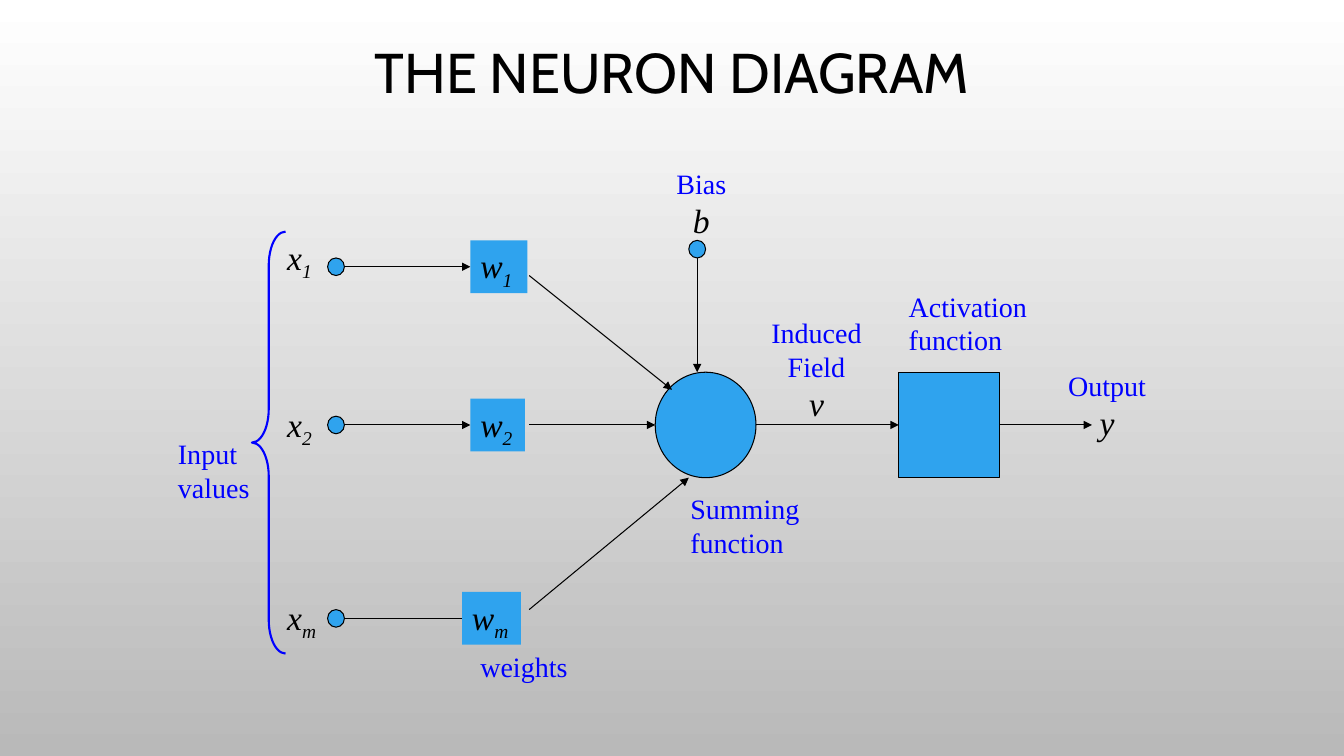
"""Build a slide showing the diagram of a single artificial neuron."""
from lxml.etree import SubElement
from pptx import Presentation
from pptx.dml.color import RGBColor
from pptx.enum.shapes import MSO_CONNECTOR, MSO_SHAPE
from pptx.enum.text import MSO_ANCHOR, PP_ALIGN
from pptx.oxml.ns import qn
from pptx.util import Inches, Pt

COLORS = {"ink": "000000", "label": "0000FF", "node": "2FA3EE",
          "top": "FFFFFF", "bottom": "B9B9B9"}

deck = Presentation()
deck.slide_width, deck.slide_height = Inches(13.33), Inches(7.5)
COLUMN, ROW = deck.slide_width / 160, deck.slide_height / 86
OFFSET = Inches(0.03)
page = deck.slides.add_slide(deck.slide_layouts[6])


def draw(kind, column, row, width, height, fill=None, line=None, weight=0.75):
    place = [int(length) for length in
             (column * COLUMN, row * ROW + OFFSET, width * COLUMN, height * ROW)]
    if kind is None:
        return page.shapes.add_textbox(*place)
    shape = page.shapes.add_shape(kind, *place)
    shape.shadow.inherit = False
    if fill:
        shape.fill.solid()
        shape.fill.fore_color.rgb = RGBColor.from_string(COLORS[fill])
    else:
        shape.fill.background()
    if line:
        shape.line.color.rgb = RGBColor.from_string(COLORS[line])
        shape.line.width = Pt(weight)
    else:
        shape.line.fill.background()
    return shape


def write(box, text, size=20, color="label", font="Times New Roman", italic=False,
          align=PP_ALIGN.LEFT, anchor=MSO_ANCHOR.TOP, subscript=""):
    frame = box.text_frame
    frame.word_wrap = False
    frame.vertical_anchor = anchor
    for line in text.split("\n"):
        para = frame.add_paragraph() if frame.text else frame.paragraphs[0]
        para.alignment = align
        for part in filter(None, (line, subscript)):
            span = para.add_run()
            span.text = part
            span.font.size, span.font.name, span.font.italic = Pt(size), font, italic
            span.font.color.rgb = RGBColor.from_string(COLORS[color])
    if subscript:
        span.font._element.set("baseline", "-25000")


backdrop = page.background.fill
backdrop.gradient()
backdrop.gradient_angle = 270
for stop, name, position in zip(backdrop.gradient_stops, ("top", "bottom"), (0, 1)):
    stop.color.rgb = RGBColor.from_string(COLORS[name])
    stop.position = position

title = draw(None, 29, 2.5, 102, 11.5)
write(title, "THE NEURON DIAGRAM", size=40, color="ink", font="Cabin",
      align=PP_ALIGN.CENTER, anchor=MSO_ANCHOR.MIDDLE)
title.text_frame.paragraphs[0].line_spacing = 0.9

draw(MSO_SHAPE.OVAL, 78, 42, 12, 12, "node", "ink")
activation = draw(MSO_SHAPE.RECTANGLE, 107, 42, 12, 12, "node", "ink")
for column, row in [(39, 29), (39, 47), (39, 69), (82, 27)]:
    draw(MSO_SHAPE.OVAL, column, row, 2, 2, "node", "ink")
brace = draw(MSO_SHAPE.LEFT_BRACE, 30, 26, 4, 48, line="label", weight=1.5)
brace.adjustments[0], brace.adjustments[1] = 1, 0.5

for text, symbol, column, row, width, height in [
        ("Input\nvalues", "", 20, 48.75, 12, 8.8),
        ("weights", "", 56, 73, 14, 4.9),
        ("Summing\nfunction", "", 81, 55, 16.5, 8.8),
        ("Activation\nfunction", "", 107, 32, 17.5, 8.8),
        ("Bias", "b", 78.5, 18, 10, 9.5),
        ("Induced\nField", "v", 90.2, 35, 14, 13.4),
        ("Output", "y", 124.8, 41, 14, 9.5)]:
    label = draw(None, column, row, width, height)
    write(label, text, align=PP_ALIGN.CENTER if symbol else PP_ALIGN.LEFT)
    if symbol:
        write(label, symbol, size=24, color="ink", italic=True, align=PP_ALIGN.CENTER)

arrows = {}
for name, *ends in [
        ("input 1", 41, 30, 56, 30), ("input 2", 41, 48, 56, 48),
        ("input m", 41, 70, 56, 70), ("weighted 1", 63, 31, 80, 44),
        ("weighted 2", 63, 48, 78, 48), ("weighted m", 63, 69, 82, 54),
        ("bias", 83, 29, 83, 42), ("field", 90, 48, 107, 48),
        ("output", 119, 48, 130, 48)]:
    x1, y1, x2, y2 = ends
    arrow = page.shapes.add_connector(
        MSO_CONNECTOR.STRAIGHT, int(x1 * COLUMN), int(y1 * ROW + OFFSET),
        int(x2 * COLUMN), int(y2 * ROW + OFFSET))
    arrow.line.color.rgb = RGBColor.from_string(COLORS["ink"])
    arrow.line.width = Pt(0.75)
    SubElement(arrow.line._get_or_add_ln(), qn("a:tailEnd"), type="triangle")
    SubElement(arrow._element.spPr, qn("a:effectLst"))
    arrows[name] = arrow
arrows["field"].end_connect(activation, 1)
arrows["output"].begin_connect(activation, 3)

for index, row, input_row, input_width, column, width in [
        ("1", 27, 26, 5.5, 56, 6.8), ("2", 45, 45, 5.5, 56, 6.5),
        ("m", 67, 67, 6.1, 55, 7)]:
    variable = draw(None, 33, input_row, input_width, 6)
    factor = draw(MSO_SHAPE.RECTANGLE, column, row, width, 6, "node")
    for box, letter in [(variable, "x"), (factor, "w")]:
        write(box, letter, size=24, color="ink", italic=True, subscript=index)
    if index != "m":
        arrows[f"input {index}"].end_connect(factor, 1)

deck.save("out.pptx")
